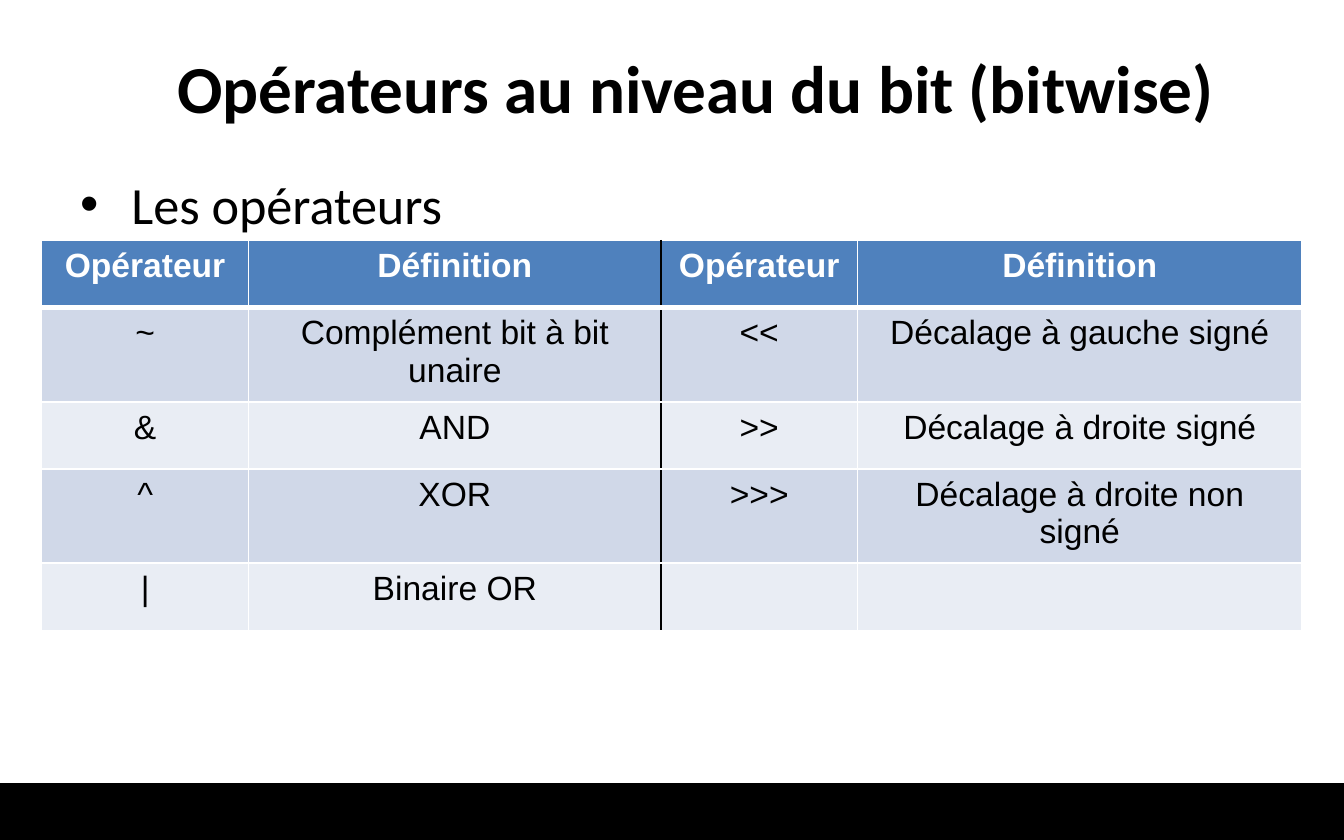
from lxml import etree
from pptx import Presentation
from pptx.dml.color import RGBColor
from pptx.enum.shapes import MSO_SHAPE
from pptx.enum.text import MSO_ANCHOR, PP_ALIGN
from pptx.oxml.ns import qn
from pptx.util import Inches, Pt

RECTANGLE = MSO_SHAPE.RECTANGLE
MIDDLE = MSO_ANCHOR.MIDDLE
CENTER = PP_ALIGN.CENTER

COLORS = {
    "black": "000000",
    "white": "FFFFFF",
    "header": "4F81BD",
    "odd_row": "D0D8E8",
    "even_row": "E9EDF4",
}

deck = Presentation()
deck.slide_width = Inches(10)
deck.slide_height = Inches(6.25)
slide = deck.slides.add_slide(deck.slide_layouts[6])

# Grid of 100 square columns across the slide width
UNIT = deck.slide_width // 100


def grid(*counts):
    return [round(count * UNIT) for count in counts]


def style_text(paragraph, font_name, size, color, bold=False):
    for run in paragraph.runs:
        run.font.name = font_name
        run.font.size = Pt(size)
        run.font.bold = bold
        run.font.color.rgb = RGBColor.from_string(COLORS[color])


# Footer band
footer = slide.shapes.add_shape(RECTANGLE, *grid(0, 58.3, 100, 4.5))
footer.shadow.inherit = False
footer.fill.solid()
footer.fill.fore_color.rgb = RGBColor.from_string(COLORS["black"])
footer.line.color.rgb = RGBColor.from_string(COLORS["black"])
footer.line.width = Pt(0.75)

# Title
title = slide.shapes.add_textbox(*grid(12.2, 3.7, 85, 5.5)).text_frame
title.word_wrap = True
title.vertical_anchor = MIDDLE
title.text = "Opérateurs au niveau du bit (bitwise)"
style_text(title.paragraphs[0], "Calibri", 36, "black", bold=True)

# Bulleted introduction
intro = slide.shapes.add_textbox(*grid(5, 12.3, 92.3, 46.3)).text_frame
intro.word_wrap = True
intro.text = "Les opérateurs"
style_text(intro.paragraphs[0], "Calibri", 28, "black")
bullet_props = intro.paragraphs[0]._p.get_or_add_pPr()
indent = grid(3.8)[0]
bullet_props.set("marL", str(indent))
bullet_props.set("indent", str(-indent))
space_before = etree.SubElement(bullet_props, qn("a:spcBef"))
etree.SubElement(space_before, qn("a:spcPct")).set("val", "20000")
etree.SubElement(bullet_props, qn("a:buFont")).set("typeface", "Arial")
etree.SubElement(bullet_props, qn("a:buChar")).set("char", "•")

# Operator table: two operator/definition pairs side by side
OPERATORS = [
    ["Opérateur", "Définition", "Opérateur", "Définition"],
    ["~", "Complément bit à bit unaire", "<<", "Décalage à gauche signé"],
    ["&", "AND", ">>", "Décalage à droite signé"],
    ["^", "XOR", ">>>", "Décalage à droite non signé"],
    ["|", "Binaire OR", "", ""],
]
COLUMN_WIDTHS = grid(15.4, 30.7, 14.6, 33.1)
ROW_HEIGHT = grid(5)[0]

left, top = grid(3.1, 17.9)
operators = slide.shapes.add_table(
    len(OPERATORS), len(COLUMN_WIDTHS), left, top,
    sum(COLUMN_WIDTHS), ROW_HEIGHT * len(OPERATORS)).table
for column, width in zip(operators.columns, COLUMN_WIDTHS):
    column.width = width

for r, entries in enumerate(OPERATORS):
    operators.rows[r].height = ROW_HEIGHT
    is_header = r == 0
    row_color = "header" if is_header else "odd_row" if r % 2 else "even_row"
    for c, entry in enumerate(entries):
        cell = operators.cell(r, c)
        cell.fill.solid()
        cell.fill.fore_color.rgb = RGBColor.from_string(COLORS[row_color])
        cell.text_frame.text = entry
        paragraph = cell.text_frame.paragraphs[0]
        paragraph.alignment = CENTER
        style_text(paragraph, "Arial", 18,
                   "white" if is_header else "black", bold=is_header)

        # White rules, heavier under the header, black between the pairs
        borders = [
            ("a:lnL", "black" if c == 2 else "white", 1),
            ("a:lnR", "black" if c == 1 else "white", 1),
            ("a:lnT", "white", 3 if r == 1 else 1),
            ("a:lnB", "white", 3 if is_header else 1),
        ]
        cell_props = cell._tc.get_or_add_tcPr()
        for position, (tag, color, points) in enumerate(borders):
            border = etree.Element(qn(tag), w=str(Pt(points)))
            rule_fill = etree.SubElement(border, qn("a:solidFill"))
            etree.SubElement(rule_fill, qn("a:srgbClr")).set("val", COLORS[color])
            cell_props.insert(position, border)

deck.save("out.pptx")
